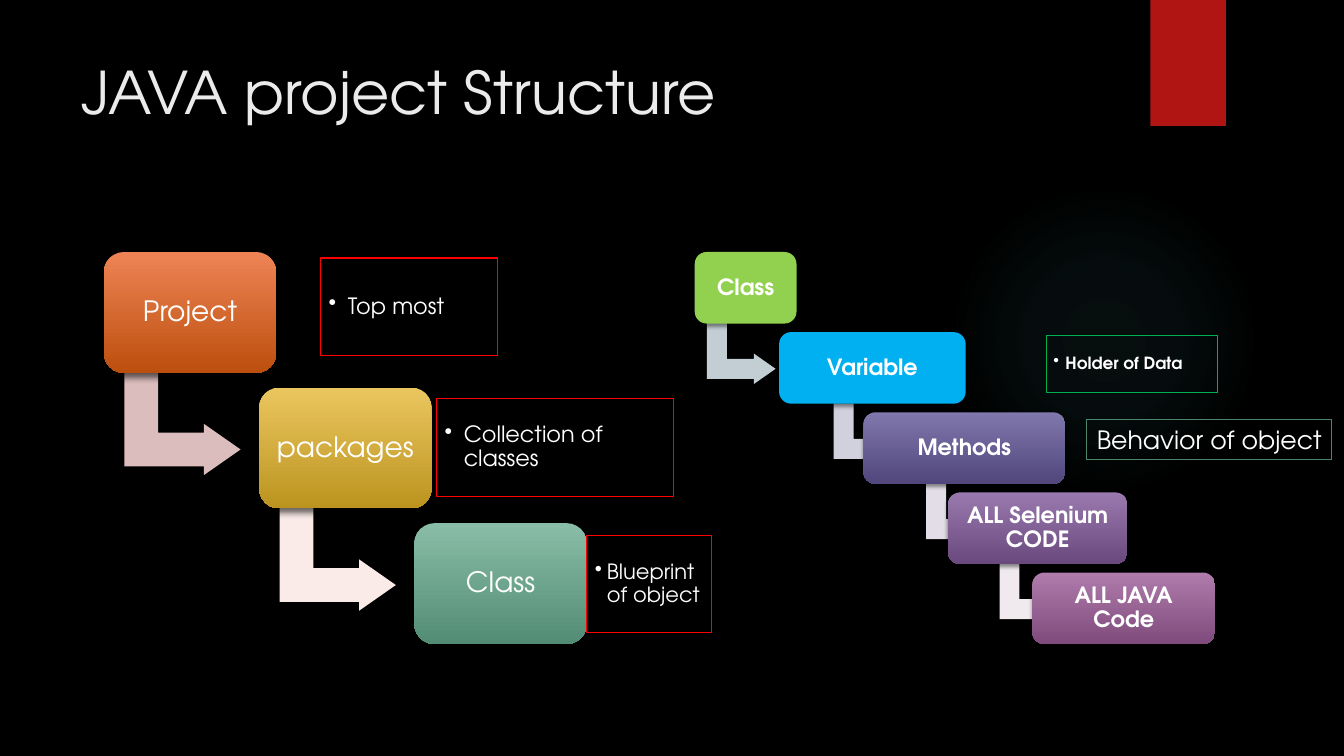
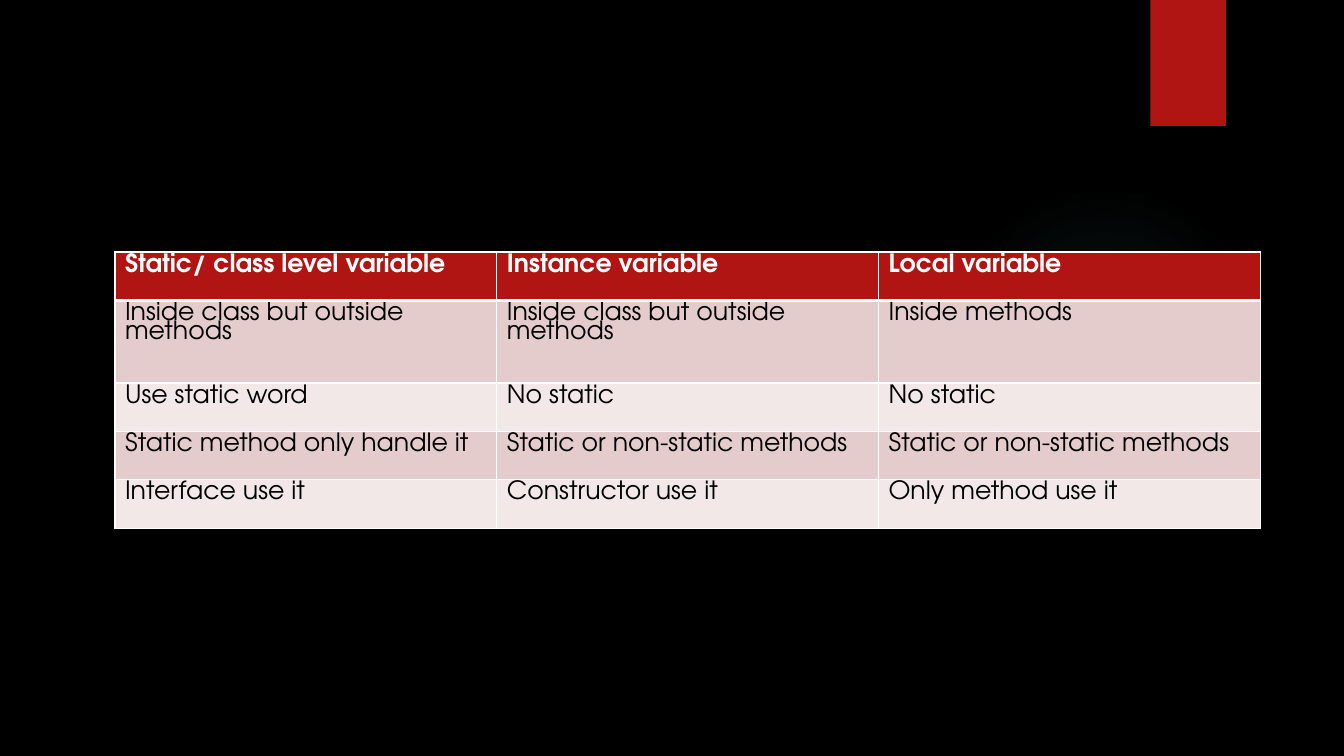
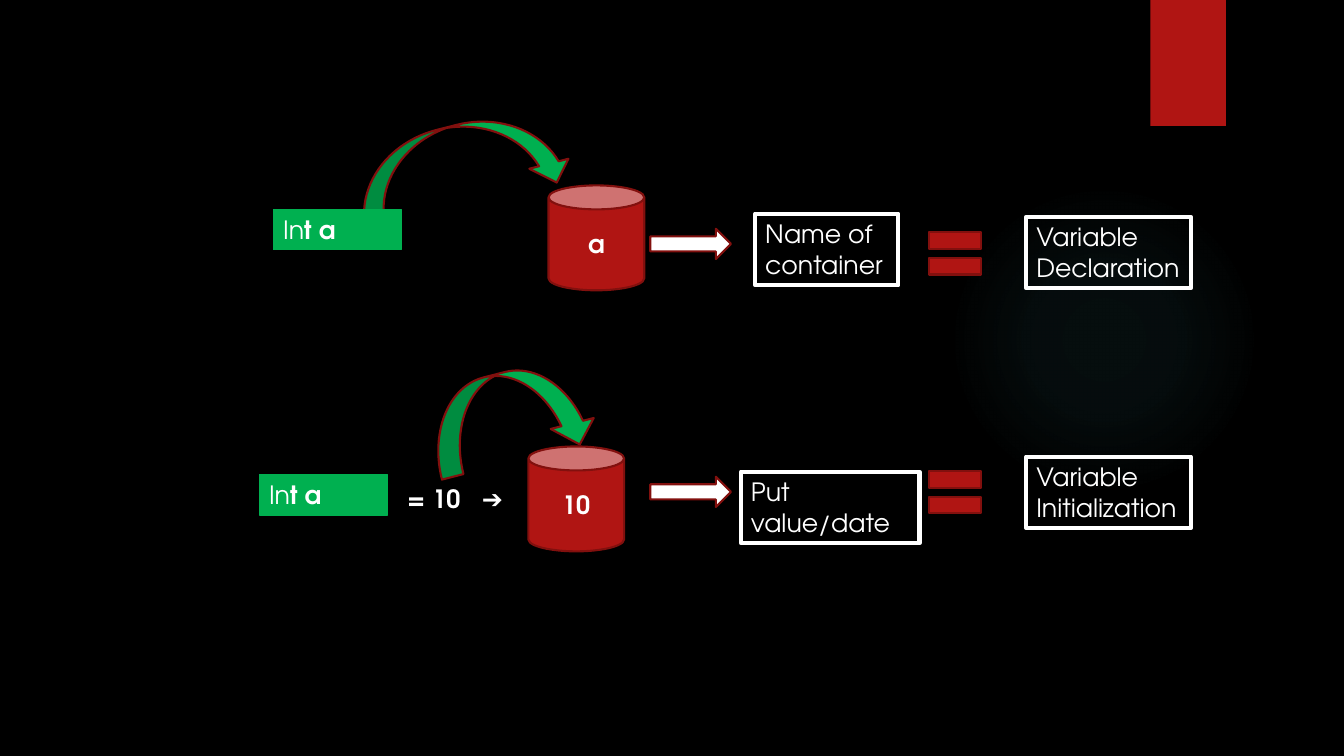
from dataclasses import dataclass
from typing import Optional

from pptx import Presentation
from pptx.dml.color import RGBColor
from pptx.enum.shapes import MSO_SHAPE as SHAPE
from pptx.enum.text import MSO_ANCHOR as ANCHOR, PP_ALIGN as ALIGN
from pptx.oxml import parse_xml
from pptx.oxml.ns import nsdecls, qn
from pptx.util import Inches, Pt

FONT = "TeX Gyre Adventor"
BLACK = RGBColor(0x00, 0x00, 0x00)
WHITE = RGBColor(0xFF, 0xFF, 0xFF)
TITLE_GREY = RGBColor(0xEB, 0xEB, 0xEB)
CRIMSON = RGBColor(0xB0, 0x15, 0x13)
DARK_RED = RGBColor(0x82, 0x10, 0x0E)
RED = RGBColor(0xFF, 0x00, 0x00)
GREEN = RGBColor(0x00, 0xB0, 0x50)
SAGE = RGBColor(0x4B, 0x86, 0x6D)
LIME = RGBColor(0x92, 0xD0, 0x50)
SKY = RGBColor(0x00, 0xB0, 0xF0)
ORANGE = (RGBColor(0xEE, 0x84, 0x55), RGBColor(0xBC, 0x4F, 0x0E))
GOLD = (RGBColor(0xEB, 0xC6, 0x5F), RGBColor(0xBB, 0x94, 0x1F))
TEAL = (RGBColor(0x89, 0xBD, 0xA7), RGBColor(0x53, 0x8C, 0x74))
INDIGO = (RGBColor(0x80, 0x77, 0xAC), RGBColor(0x51, 0x47, 0x7D))
VIOLET = (RGBColor(0x99, 0x79, 0xAE), RGBColor(0x6A, 0x49, 0x7E))
PLUM = (RGBColor(0xAF, 0x7C, 0xAC), RGBColor(0x7F, 0x4B, 0x7C))
ROSE = RGBColor(0xDC, 0xBD, 0xBD)
BLUSH = RGBColor(0xFB, 0xEB, 0xE8)
MIST = RGBColor(0xC3, 0xCE, 0xD4)
LAVENDER = RGBColor(0xD0, 0xD1, 0xDD)
LILAC = RGBColor(0xE2, 0xDD, 0xE6)
PALE_PLUM = RGBColor(0xF0, 0xEA, 0xEF)
ROW_DARK = RGBColor(0xE4, 0xCC, 0xCC)
ROW_LIGHT = RGBColor(0xF2, 0xE8, 0xE7)

SOFT_SHADOW = (45, 3, 2)
DEEP_SHADOW = (60, 5, 3)


@dataclass
class Note:
    """A bulleted remark: distance right of its step, drop and size."""
    text: str
    gap: float
    drop: float
    width: float
    height: float = 0.97
    size: int = 16
    indent: float = 0.19
    color: RGBColor = RED
    bold: bool = False


@dataclass
class Step:
    """One block of a staircase, with the arrow leading to the next."""
    text: str
    fill: object
    width: float
    arrow_fill: Optional[RGBColor] = None
    arrow_shift: float = 0
    note: Optional[Note] = None


def write(frame, text, size=18, color=WHITE, bold=False, align=ALIGN.LEFT,
          anchor=ANCHOR.TOP, spacing=None, inset=None, bullet=None, tab=None):
    """Fill a text frame; text is a string or a list of (string, bold)."""
    frame.word_wrap = True
    frame.vertical_anchor = anchor
    if inset is not None:
        frame.margin_left = frame.margin_right = Inches(inset)
        frame.margin_top = frame.margin_bottom = Inches(inset)
    paragraph = frame.paragraphs[0]
    paragraph.alignment = align
    if spacing:
        paragraph.line_spacing = spacing
    props = paragraph._p.get_or_add_pPr()
    if bullet:
        props.set("marL", str(Inches(bullet)))
        props.set("indent", str(-Inches(bullet)))
        props.append(parse_xml(f'<a:buChar {nsdecls("a")} char="•"/>'))
    if tab:
        props.append(parse_xml(f'<a:tabLst {nsdecls("a")}>'
                               f'<a:tab pos="{Inches(tab)}" algn="l"/></a:tabLst>'))
    for words, heavy in [(text, bold)] if isinstance(text, str) else text:
        run = paragraph.add_run()
        run.text = words
        run.font.name, run.font.size, run.font.bold = FONT, Pt(size), heavy
        run.font.color.rgb = color


def add_shape(slide, kind, box, fill=None, line=None, width=0.75, shadow=None):
    """Add a preset shape; a pair of colours as fill runs from top to bottom."""
    shape = slide.shapes.add_shape(kind, *map(Inches, box))
    shape.shadow.inherit = False
    if fill is None:
        shape.fill.background()
    elif isinstance(fill, RGBColor):
        shape.fill.solid()
        shape.fill.fore_color.rgb = fill
    else:
        shape.fill.gradient()
        shape.fill.gradient_angle = 270
        for stop, color in zip(shape.fill.gradient_stops, fill):
            stop.color.rgb = color
    if line is None:
        shape.line.fill.background()
    else:
        shape.line.color.rgb = line
        shape.line.width = Pt(width)
    if shadow:
        alpha, blur, distance = shadow
        shape._element.spPr.find(qn("a:effectLst")).append(parse_xml(
            f'<a:outerShdw {nsdecls("a")} blurRad="{Pt(blur)}" dist="{Pt(distance)}" '
            f'dir="5400000" rotWithShape="0"><a:srgbClr val="{BLACK}">'
            f'<a:alpha val="{alpha * 1000}"/></a:srgbClr></a:outerShdw>'))
    return shape


def add_text(slide, box, text, **style):
    """Add a text box."""
    write(slide.shapes.add_textbox(*map(Inches, box)).text_frame, text, **style)


def add_base(deck):
    """Add a slide with the shared glow and red ribbon."""
    slide = deck.slides.add_slide(deck.slide_layouts[6])
    glow = add_shape(slide, SHAPE.OVAL, (9.41, 1.83, 3.08, 3.08), (BLACK, BLACK))
    stops = "".join(
        f'<a:gs pos="{place * 1000}"><a:srgbClr val="50B9C1">'
        f'<a:alpha val="{alpha * 1000}"/></a:srgbClr></a:gs>'
        for place, alpha in ((0, 7), (36, 6), (69, 0)))
    props = glow._element.spPr
    props.replace(props.find(qn("a:gradFill")), parse_xml(
        f'<a:gradFill {nsdecls("a")}><a:gsLst>{stops}</a:gsLst><a:path path="circle">'
        '<a:fillToRect l="50000" t="50000" r="50000" b="50000"/></a:path></a:gradFill>'))
    add_shape(slide, SHAPE.RECTANGLE, (11.41, 0, 0.75, 1.25), CRIMSON, shadow=SOFT_SHADOW)
    return slide


def add_turn(slide, left, top, height, fill, shadow):
    """Add the bent arrow that leads from one step to the next."""
    arrow = add_shape(slide, SHAPE.BENT_UP_ARROW,
                      (left, top, 0.85 * height, 0.96 * height), fill, shadow=shadow)
    arrow.rotation = 90
    for index, value in enumerate((0.328, 0.25, 0.358)):
        arrow.adjustments[index] = value


def add_note(slide, left, top, note, inset):
    """Add an outlined box with one bulleted remark."""
    frame = add_shape(slide, SHAPE.RECTANGLE, (left, top, note.width, note.height),
                      line=note.color).text_frame
    write(frame, note.text, size=note.size, bold=note.bold, anchor=ANCHOR.MIDDLE,
          spacing=0.9, inset=inset, bullet=note.indent)


def add_staircase(slide, first, last, height, steps, size, bold=False, inset=0.08,
                  shadow=SOFT_SHADOW, arrow_shadow=None):
    """Place steps evenly between the top left corners first and last."""
    run, rise = ((end - start) / (len(steps) - 1) for start, end in zip(first, last))
    for index, step in enumerate(steps):
        left, top = first[0] + index * run, first[1] + index * rise
        if step.arrow_fill:
            add_turn(slide, left + step.arrow_shift, top + 0.94 * height, height,
                     step.arrow_fill, arrow_shadow)
        block = add_shape(slide, SHAPE.ROUNDED_RECTANGLE, (left, top, step.width, height),
                          step.fill, shadow=shadow)
        write(block.text_frame, step.text, size=size, bold=bold, align=ALIGN.CENTER,
              anchor=ANCHOR.MIDDLE, spacing=0.9, inset=inset)
        if step.note:
            add_note(slide, left + step.width + step.note.gap, top + step.note.drop,
                     step.note, inset)


def structure_slide(deck):
    """Build the slide with the two staircases."""
    slide = add_base(deck)
    add_text(slide, (0.71, 0.5, 10.29, 1.53), "JAVA project Structure",
             size=42, color=TITLE_GREY)
    add_staircase(slide, (1.03, 2.5), (4.11, 5.19), 1.2, [
        Step("Project", ORANGE, 1.71, ROSE, 0.27, Note("Top most", 0.44, 0.06, 1.75)),
        Step("packages", GOLD, 1.71, BLUSH, 0.27,
             Note("Collection of classes", 0.05, 0.11, 2.35)),
        Step("Class", TEAL, 1.71, note=Note("Blueprint of object", 0, 0.12, 1.24,
                                            size=15, indent=0.12)),
    ], size=20, shadow=DEEP_SHADOW, arrow_shadow=DEEP_SHADOW)
    add_staircase(slide, (6.89, 2.5), (10.24, 5.68), 0.71, [
        Step("Class", LIME, 1.01, MIST, 0.16),
        Step("Variable", SKY, 1.85, LAVENDER, 0.58,
             Note("Holder of Data", 0.8, 0.03, 1.7, 0.57, 12, 0.12, GREEN, True)),
        Step("Methods", INDIGO, 2, LILAC, 0.66),
        Step("ALL Selenium CODE", VIOLET, 1.78, PALE_PLUM, 0.55),
        Step("ALL JAVA Code", PLUM, 1.81),
    ], size=16, bold=True, inset=0.07)
    behavior = add_shape(slide, SHAPE.RECTANGLE, (10.78, 4.16, 2.43, 0.4), line=SAGE)
    write(behavior.text_frame, "Behavior of object")


def set_borders(cell, top, bottom):
    """Give a cell white borders, with the top and bottom widths in points."""
    props = cell._tc.get_or_add_tcPr()
    for index, (side, width) in enumerate(zip("LRTB", (1, 1, top, bottom))):
        props.insert(index, parse_xml(
            f'<a:ln{side} {nsdecls("a")} w="{Pt(width)}"><a:solidFill>'
            f'<a:srgbClr val="{WHITE}"/></a:solidFill></a:ln{side}>'))


def add_comparison(slide, box, rows, heights):
    """Add a table with a red header and striped rows."""
    table = slide.shapes.add_table(len(rows), len(rows[0]), *map(Inches, box)).table
    for column in table.columns:
        column.width = Inches(box[2] / len(rows[0]))
    for index, (texts, height) in enumerate(zip(rows, heights)):
        header = index == 0
        table.rows[index].height = Inches(height)
        for cell, text in zip(table.rows[index].cells, texts):
            cell.fill.solid()
            cell.fill.fore_color.rgb = (CRIMSON if header
                                        else ROW_DARK if index % 2 else ROW_LIGHT)
            set_borders(cell, 3 if index == 1 else 1, 3 if header else 1)
            write(cell.text_frame, text, color=WHITE if header else BLACK,
                  bold=header, spacing=0.8)


def variables_slide(deck):
    """Build the slide that compares the kinds of variable."""
    add_comparison(add_base(deck), (1.14, 2.5, 11.36, 2.74), [
        ("Static/ class level variable", "Instance variable", "Local variable"),
        ("Inside class but outside methods", "Inside class but outside methods",
         "Inside methods"),
        ("Use static word", "No static", "No static"),
        ("Static method only handle it", "Static or non-static methods",
         "Static or non-static methods"),
        ("Interface use it", "Constructor use it", "Only method use it"),
    ], (0.48, 0.82, 0.48, 0.48, 0.48))


def add_variable_row(slide, top, code, jar, arrow_drop, meaning, equal_drop, result, curve):
    """Add one row from code to result; all drops are measured from top.

    code is (left, drop), jar (left, text), meaning (left, drop, width, text),
    result (drop, text) and curve (left, drop, width, height).
    """
    outline = {"line": DARK_RED, "width": 1.5}
    jar_left, jar_text = jar
    can = add_shape(slide, SHAPE.CAN, (jar_left, top, 0.95, 1.04), CRIMSON, **outline)
    write(can.text_frame, jar_text, bold=True, align=ALIGN.CENTER, anchor=ANCHOR.MIDDLE)
    add_shape(slide, SHAPE.RIGHT_ARROW, (6.45, top + arrow_drop, 0.8, 0.3), WHITE, **outline)
    add_shape(slide, SHAPE.MATH_EQUAL, (9.12, top + equal_drop, 0.7, 0.71),
              CRIMSON, **outline)
    for left, drop, width, text in (meaning, (10.18, result[0], 1.63, result[1])):
        label = add_shape(slide, SHAPE.RECTANGLE, (left, top + drop, width, 0.71),
                          line=WHITE, width=3)
        write(label.text_frame, text)
    left, drop, width, height = curve
    add_shape(slide, SHAPE.CURVED_DOWN_ARROW, (left, top + drop, width, height),
              GREEN, **outline).rotation = 345.7
    tag = add_shape(slide, SHAPE.RECTANGLE, (code[0], top + code[1], 1.27, 0.4), GREEN, GREEN)
    write(tag.text_frame, [("In", False), ("t a", True)])


def declaration_slide(deck):
    """Build the slide on declaring and initializing a variable."""
    slide = add_base(deck)
    add_variable_row(slide, 1.84, code=(2.71, 0.24), jar=(5.44, "a"), arrow_drop=0.43,
                     meaning=(7.49, 0.28, 1.42, "Name of container"), equal_drop=0.32,
                     result=(0.31, "Variable Declaration"), curve=(3.5, -0.6, 2.15, 0.8))
    add_text(slide, (3.94, 4.75, 1.54, 0.4), "= 10\t➔", bold=True, tab=0.74)
    add_variable_row(slide, 4.43, code=(2.57, 0.28), jar=(5.24, "10"), arrow_drop=0.3,
                     meaning=(7.35, 0.25, 1.77, "Put value/date"), equal_drop=0.1,
                     result=(0.1, "Variable Initialization"),
                     curve=(4.25, -0.74, 1.63, 0.88))


def main():
    """Build and save the deck."""
    deck = Presentation()
    deck.slide_width, deck.slide_height = Inches(13.33), Inches(7.5)
    backdrop = deck.slide_master.background.fill
    backdrop.solid()
    backdrop.fore_color.rgb = BLACK
    for build in (structure_slide, variables_slide, declaration_slide):
        build(deck)
    deck.save("out.pptx")


main()
